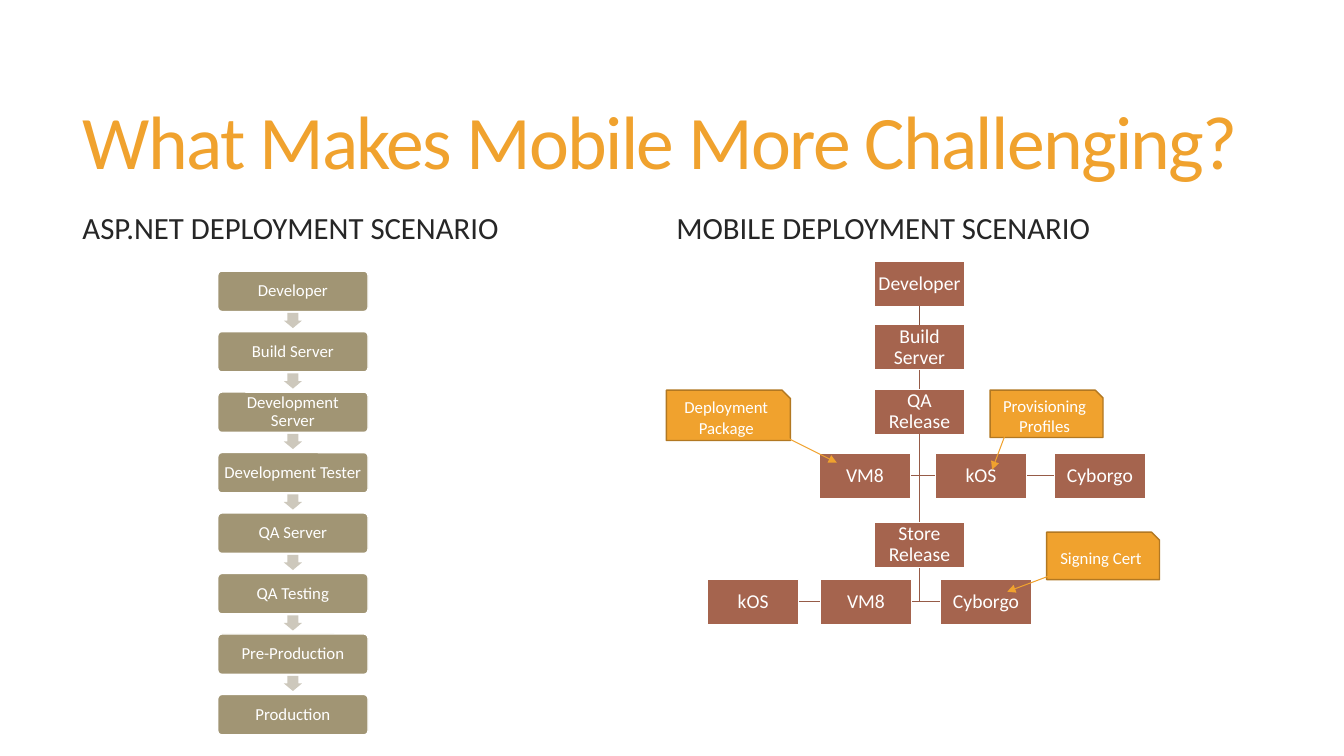
from lxml import etree
from pptx import Presentation, util as u
from pptx.dml.color import RGBColor
from pptx.enum import shapes, text
from pptx.oxml.ns import qn

COLOURS = {
    "orange": "F0A22E", "orange_edge": "B27822", "heading": "262626",
    "brown": "A5644E", "brown_line": "965B47", "dark_line": "84503E",
    "olive": "A19574", "arrow": "CDC8BC", "white": "FFFFFF",
}
KINDS = shapes.MSO_SHAPE

presentation = Presentation()
presentation.slide_width = u.Inches(13.33)
presentation.slide_height = u.Inches(7.5)
slide = presentation.slides.add_slide(presentation.slide_layouts[6])


def write(shape, words, size, colour="white", align="CENTER", spacing=0.9, margins=(0.1, 0.05)):
    frame = shape.text_frame
    across, down = [u.Inches(margin) for margin in margins]
    frame_format = {
        "word_wrap": True, "vertical_anchor": text.MSO_ANCHOR.MIDDLE,
        "margin_left": across, "margin_right": across,
        "margin_top": down, "margin_bottom": down,
    }
    for name, value in frame_format.items():
        setattr(frame, name, value)
    paragraph = frame.paragraphs[0]
    paragraph.alignment = getattr(text.PP_ALIGN, align)
    paragraph.line_spacing = spacing
    run = paragraph.add_run()
    for name, value in {"text": words}.items():
        setattr(run, name, value)
    for name, value in {"name": "Calibri", "size": u.Pt(size)}.items():
        setattr(run.font, name, value)
    run.font.color.rgb = RGBColor.from_string(COLOURS[colour])
    return run


def paint(shape, fill=None, line=None, width=1):
    shape.shadow.inherit = False
    for part, colour in ((shape.fill, fill), (shape.line.fill, line)):
        if colour:
            part.solid()
            part.fore_color.rgb = RGBColor.from_string(COLOURS[colour])
        else:
            part.background()
    if line:
        shape.line.width = u.Pt(width)


headings = [
    ("What Makes Mobile More Challenging?", 0.72, 0.55, 11.78, 1.81, 54, "orange"),
    ("ASP.NET DEPLOYMENT SCENARIO", 0.72, 1.89, 5.1, 0.79, 22, "heading"),
    ("MOBILE DEPLOYMENT SCENARIO", 6.61, 1.89, 5.1, 0.79, 22, "heading"),
]
for words, left, top, width, height, size, colour in headings:
    box = slide.shapes.add_textbox(*map(u.Inches, (left, top, width, height)))
    run = write(box, words, size, colour, "LEFT", 0.85)
    if size == 54:
        run._r.get_or_add_rPr().set("spc", "-120")

trunk_x = 9.12
elbows = [(4.31, 4.72, x) for x in (9.03, 10.46, 9.28)]
elbows += [(5.63, 5.97, x) for x in (7.92, 9.33, 9.04)]
for top, bottom, end_x in elbows:
    builder = slide.shapes.build_freeform(u.Inches(trunk_x), u.Inches(top))
    corners = [(trunk_x, bottom), (end_x, bottom)]
    builder.add_line_segments([(u.Inches(x), u.Inches(y)) for x, y in corners], close=False)
    paint(builder.convert_to_shape(), line="brown_line")

straight_lines = [
    (trunk_x, 4.31, trunk_x, 5.18, "brown_line", 1),
    (trunk_x, 3.67, trunk_x, 3.86, "brown_line", 1),
    (trunk_x, 3.04, trunk_x, 3.22, "dark_line", 1),
]
callouts = [
    ("Provisioning Profiles", 9.82, 3.87, 1.12, 0.47, (9.99, 4.26, 9.84, 4.66)),
    ("Deployment Package", 6.61, 3.87, 1.23, 0.5, (7.64, 4.26, 8.3, 4.59)),
    ("Signing Cert", 10.38, 5.28, 1.12, 0.47, (10.47, 5.69, 9.99, 5.87)),
]
mobile_steps = [
    ("Developer", 8.67, 2.59), ("Build Server", 8.67, 3.22),
    ("QA Release", 8.67, 3.86), ("Store Release", 8.67, 5.18),
    ("VM8", 8.14, 5.75), ("Cyborgo", 9.33, 5.75), ("kOS", 7.02, 5.75),
    ("kOS", 9.28, 4.5), ("Cyborgo", 10.46, 4.5), ("VM8", 8.13, 4.5),
]
web_steps = [
    "Developer", "Build Server", "Development Server", "Development Tester",
    "QA Server", "QA Testing", "Pre-Production", "Production",
]

pointers = [(*ends, "orange", 0.75) for *_, ends in callouts]
for words, left, top, width, height, ends in callouts:
    callout = slide.shapes.add_shape(
        KINDS.SNIP_1_RECTANGLE, *map(u.Inches, (left, top, width, height)))
    paint(callout, "orange", "orange_edge")
    write(callout, words, 12, spacing=1.0)

for left, top, words in [(left, top, words) for words, left, top in mobile_steps]:
    step = slide.shapes.add_shape(KINDS.RECTANGLE, *map(u.Inches, (left, top, 0.9, 0.45)))
    paint(step, "brown", "white")
    write(step, words, 14, margins=(0.01, 0.01))

for index, words in enumerate(web_steps):
    top = 2.69 + 0.6 * index
    step = slide.shapes.add_shape(
        KINDS.ROUNDED_RECTANGLE, *map(u.Inches, (2.16, top, 1.49, 0.4)))
    step.adjustments[0] = 0.1
    paint(step, "olive", "white")
    write(step, words, 12, margins=(0.05, 0.05))
    if index < len(web_steps) - 1:
        arrow = slide.shapes.add_shape(
            KINDS.RIGHT_ARROW, *map(u.Inches, (2.83, top + 0.4, 0.15, 0.18)))
        arrow.rotation = 90
        arrow.adjustments[0] = 0.6
        paint(arrow, "arrow")

for *ends, colour, width in straight_lines + pointers:
    connector = slide.shapes.add_connector(
        shapes.MSO_CONNECTOR.STRAIGHT, *map(u.Inches, ends))
    connector.line.width = u.Pt(width)
    connector.line.color.rgb = RGBColor.from_string(COLOURS[colour])
    if colour == "orange":
        etree.SubElement(connector.line._get_or_add_ln(), qn("a:tailEnd"), type="triangle")
    etree.SubElement(connector._element.spPr, qn("a:effectLst"))

presentation.save("out.pptx")
